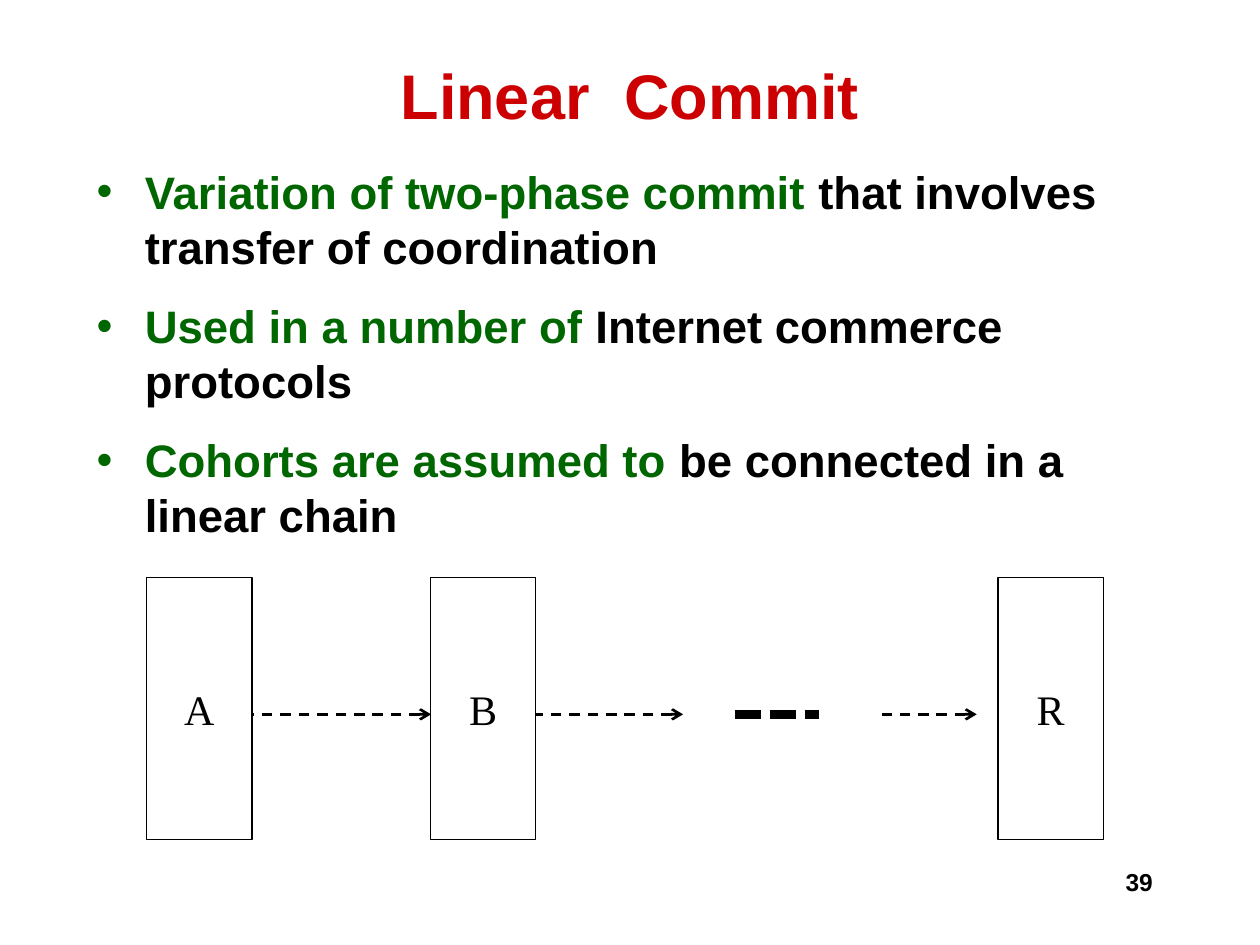
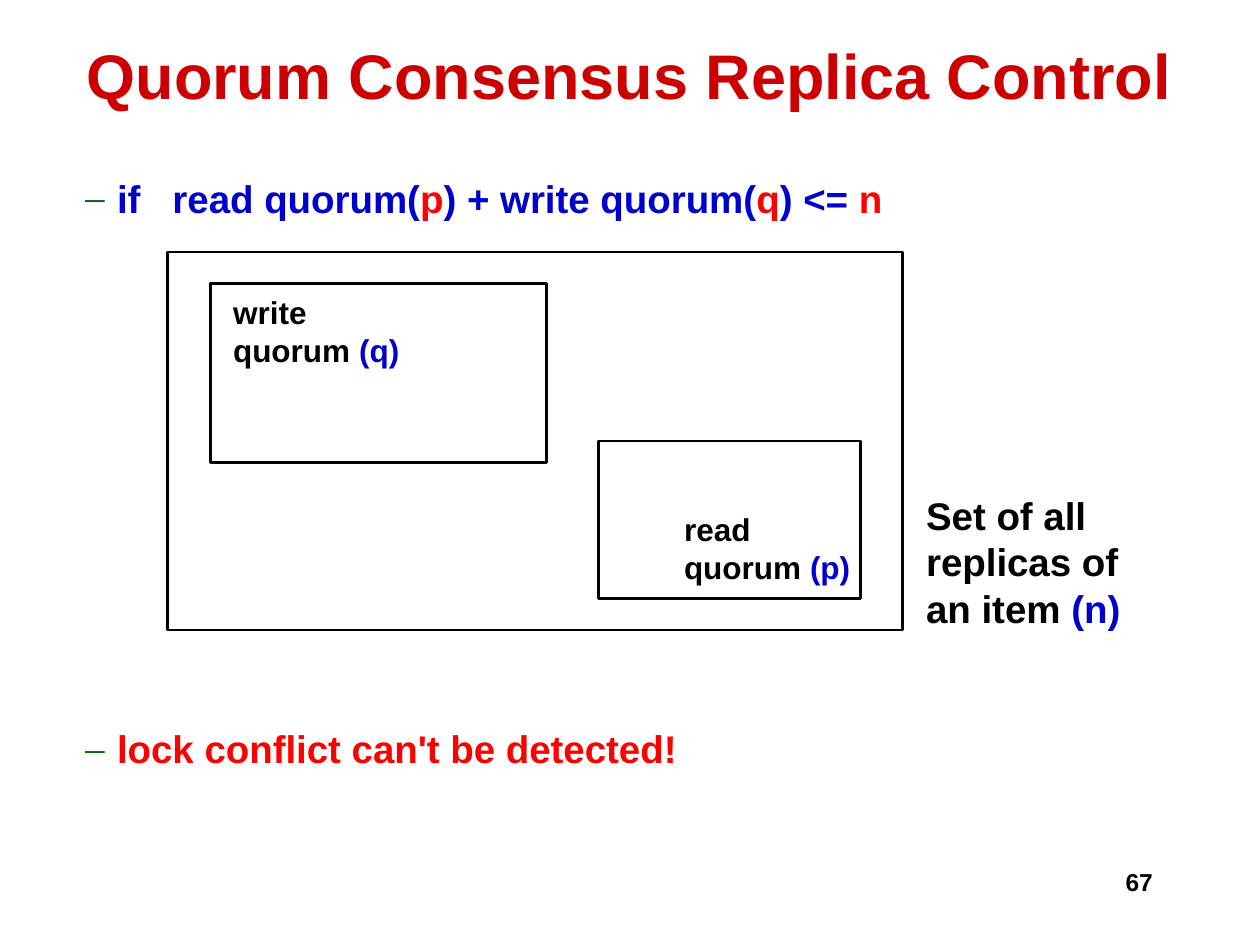
"""Build two slides on linear commit and quorum consensus replica control."""
from dataclasses import dataclass
from typing import NamedTuple

from lxml.etree import SubElement
from pptx import Presentation
from pptx.dml.color import RGBColor
from pptx.enum.dml import MSO_LINE_DASH_STYLE as Dash
from pptx.enum.shapes import MSO_CONNECTOR as Connector, MSO_SHAPE as Preset
from pptx.enum.text import MSO_ANCHOR as Anchor, PP_ALIGN as Align
from pptx.oxml.ns import qn
from pptx.slide import Slide
from pptx.util import Cm, Pt

COLORS = {
    "ink": "000000",
    "paper": "FFFFFF",
    "title": "CC0000",
    "lead": "006600",
    "term": "0000CC",
    "alert": "FF0000",
}
SANS, SERIF = "Arial", "Times New Roman"
LINE_FACTOR = 1.2


class Box(NamedTuple):
    left: float
    top: float
    width: float
    height: float

    def lengths(self) -> list[Cm]:
        return [Cm(value) for value in self]


class Span(NamedTuple):
    text: str
    color: str = "ink"


class Bullet(NamedTuple):
    char: str
    font: str
    indent: float


@dataclass(frozen=True)
class Link:
    start: float
    end: float
    width: float = 1.5
    dash: Dash = Dash.DASH
    arrow: bool = True


@dataclass(frozen=True)
class Quorum:
    action: str
    symbol: str
    label: Box
    frame: Box


DOT = Bullet("•", SANS, 0.97)
DASH = Bullet("–", SERIF, 0.64)

NUMBER_BOX = Box(18.21, 17.35, 5.28, 1.27)

COMMIT_POINTS = [
    [Span("Variation of two-phase commit ", "lead"),
     Span("that involves transfer of coordination")],
    [Span("Used in a number of ", "lead"), Span("Internet commerce protocols")],
    [Span("Cohorts are assumed to ", "lead"),
     Span("be connected in a linear chain")],
]
COHORT_SLOTS = {"A": 0, "B": 1, "R": 3}
COHORT_LEFT, COHORT_PITCH = 2.96, 5.72
CHAIN_Y = 14.4
CHAIN_LINKS = [
    Link(13.77, 10.8),
    Link(8.69, 5.08),
    Link(19.69, 17.78),
    Link(14.81, 16.51, width=5, dash=Dash.SQUARE_DOT, arrow=False),
]

QUORUMS = [
    Quorum("write", "(q)", Box(4.45, 5.79, 3.86, 1.78), Box(4.24, 5.72, 6.78, 3.6)),
    Quorum("read", "(p)", Box(13.54, 10.16, 3.86, 1.78), Box(12.07, 8.89, 5.28, 3.18)),
]
QUORUM_RULE = [
    Span("if   read quorum(", "term"), Span("p", "alert"),
    Span(") + write quorum(", "term"), Span("q", "alert"),
    Span(") <= ", "term"), Span("n", "alert"),
]


def rgb(name: str) -> RGBColor:
    return RGBColor.from_string(COLORS[name])


def set_bullet(paragraph, bullet: Bullet) -> None:
    props = paragraph._p.get_or_add_pPr()
    props.set("marL", str(Cm(bullet.indent)))
    props.set("indent", str(-Cm(bullet.indent)))
    color = SubElement(props, qn("a:buClr"))
    SubElement(color, qn("a:srgbClr"), val=COLORS["lead"])
    SubElement(props, qn("a:buFont"), typeface=bullet.font)
    SubElement(props, qn("a:buChar"), char=bullet.char)


def write_text(
    shape, lines: list[list[Span]], *, size: float, font: str = SANS,
    bold: bool = True, align: Align = Align.LEFT, anchor: Anchor = Anchor.TOP,
    wrap: bool = False, bullet: Bullet | None = None, gap: float = 0,
) -> None:
    frame = shape.text_frame
    frame.word_wrap = wrap
    frame.vertical_anchor = anchor
    for index, spans in enumerate(lines):
        paragraph = frame.add_paragraph() if index else frame.paragraphs[0]
        paragraph.alignment = align
        paragraph.line_spacing = Pt(LINE_FACTOR * size)
        paragraph.space_before = Pt(gap if index else 0)
        if bullet:
            set_bullet(paragraph, bullet)
        for span in spans:
            run = paragraph.add_run()
            run.text = span.text
            run.font.name = font
            run.font.size = Pt(size)
            run.font.bold = bold
            run.font.color.rgb = rgb(span.color)


def add_text(slide: Slide, box: Box, lines: list[list[Span]], **text_format) -> None:
    write_text(slide.shapes.add_textbox(*box.lengths()), lines, **text_format)


def add_frame(slide: Slide, box: Box, width: float = 1.5, fill: str | None = None):
    frame = slide.shapes.add_shape(Preset.RECTANGLE, *box.lengths())
    frame.shadow.inherit = False
    if fill:
        frame.fill.solid()
        frame.fill.fore_color.rgb = rgb(fill)
    else:
        frame.fill.background()
    frame.line.color.rgb = rgb("ink")
    frame.line.width = Pt(width)
    return frame


def add_link(slide: Slide, link: Link) -> None:
    connector = slide.shapes.add_connector(
        Connector.STRAIGHT, Cm(link.start), Cm(CHAIN_Y), Cm(link.end), Cm(CHAIN_Y))
    connector.line.color.rgb = rgb("ink")
    connector.line.width = Pt(link.width)
    connector.line.dash_style = link.dash
    props = connector.element.spPr
    if link.arrow:
        SubElement(props.find(qn("a:ln")), qn("a:headEnd"), type="arrow")
    SubElement(props, qn("a:effectLst"))


def add_page(deck, title: str, title_box: Box, number: int) -> Slide:
    slide = deck.slides.add_slide(deck.slide_layouts[6])
    add_text(slide, NUMBER_BOX, [[Span(str(number))]], size=14,
             align=Align.RIGHT, wrap=True)
    add_text(slide, title_box, [[Span(title, "title")]], size=36,
             align=Align.CENTER, anchor=Anchor.MIDDLE)
    return slide


def build_linear_commit(deck) -> None:
    slide = add_page(deck, "Linear  Commit", Box(1.9, 0.84, 21.6, 2.11), 39)
    add_text(slide, Box(1.7, 3.18, 22.35, 8.26), COMMIT_POINTS, size=26,
             wrap=True, bullet=DOT, gap=14.3)
    for name, slot in COHORT_SLOTS.items():
        box = Box(COHORT_LEFT + slot * COHORT_PITCH, 11.64, 2.12, 5.29)
        cohort = add_frame(slide, box, width=0.75, fill="paper")
        write_text(cohort, [[Span(name)]], size=24, font=SERIF, bold=False,
                   align=Align.CENTER, anchor=Anchor.MIDDLE)
    for link in CHAIN_LINKS:
        add_link(slide, link)


def build_quorum_consensus(deck) -> None:
    slide = add_page(deck, "Quorum Consensus Replica Control",
                     Box(1.47, 0.23, 22.43, 2.54), 67)
    add_text(slide, Box(18.42, 9.8, 4.45, 3.05),
             [[Span("Set of all")], [Span("replicas of")],
              [Span("an item "), Span("(n)", "term")]], size=22)
    for quorum in QUORUMS:
        add_text(slide, quorum.label,
                 [[Span(quorum.action)],
                  [Span("quorum "), Span(quorum.symbol, "term")]], size=18)
        add_frame(slide, quorum.frame)
    add_text(slide, Box(1.47, 3.4, 22.43, 12.62),
             [QUORUM_RULE, [Span("lock conflict can't be detected!", "alert")]],
             size=22, wrap=True, bullet=DASH, gap=288)
    add_frame(slide, Box(3.38, 5.08, 14.81, 7.62))


def main() -> None:
    deck = Presentation()
    deck.slide_width, deck.slide_height = Cm(25.4), Cm(19.05)
    build_linear_commit(deck)
    build_quorum_consensus(deck)
    deck.save("out.pptx")


if __name__ == "__main__":
    main()
